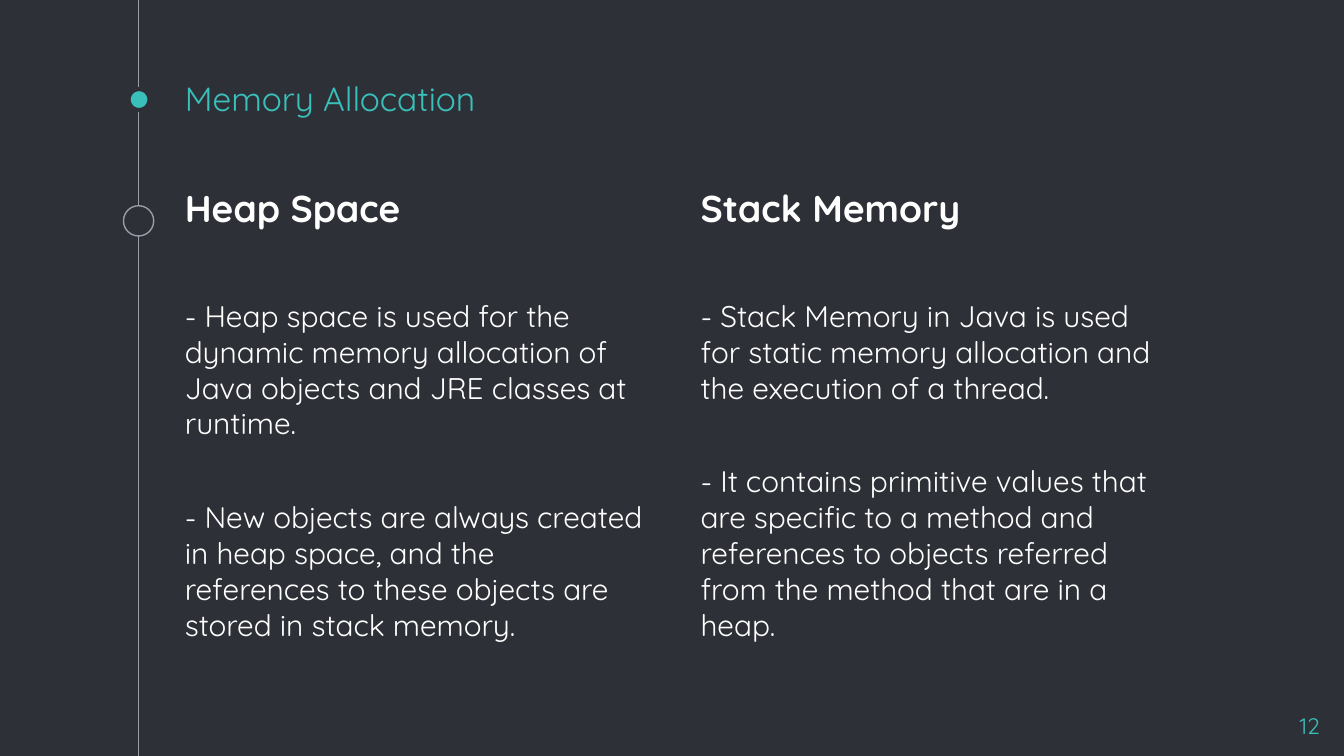
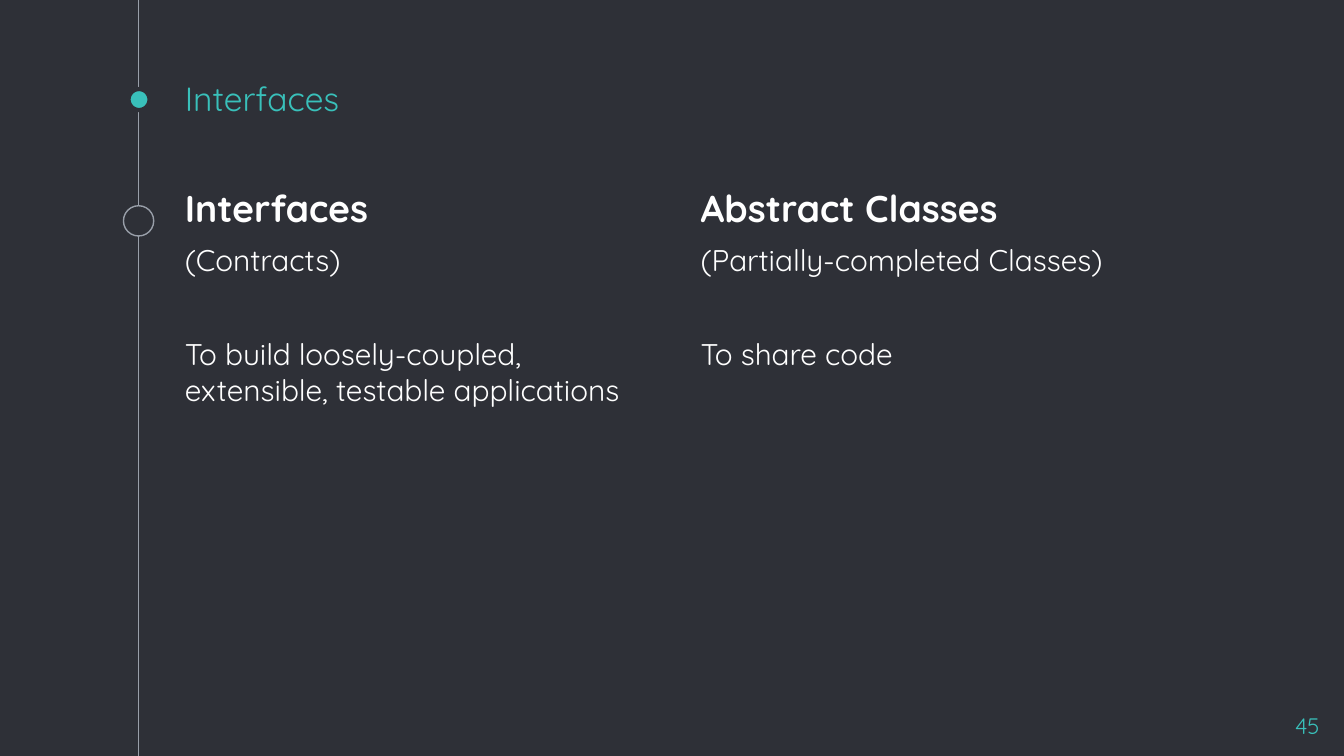
from dataclasses import dataclass

from lxml import etree
from pptx import Presentation
from pptx.dml.color import RGBColor
from pptx.enum.shapes import MSO_CONNECTOR, MSO_SHAPE
from pptx.enum.text import MSO_ANCHOR, MSO_AUTO_SIZE, PP_ALIGN
from pptx.oxml.ns import qn
from pptx.util import Pt

STRAIGHT = MSO_CONNECTOR.STRAIGHT
ELLIPSE = MSO_SHAPE.OVAL
TOP, BOTTOM = MSO_ANCHOR.TOP, MSO_ANCHOR.BOTTOM
LEFT, RIGHT = PP_ALIGN.LEFT, PP_ALIGN.RIGHT
NO_AUTOFIT = MSO_AUTO_SIZE.NONE

PX = 5715
WIDTH, HEIGHT = 1600, 900
INSET = 16
TIMELINE_X = 165
TWO_CONTENT = 3

FONT = "Quicksand"
DARK = RGBColor(0x2E, 0x30, 0x37)
TEAL = RGBColor(0x39, 0xC0, 0xBA)
GREY = RGBColor(0x99, 0x9F, 0xA9)
WHITE = RGBColor(0xFF, 0xFF, 0xFF)


@dataclass(frozen=True)
class Box:
    left: int
    top: int
    width: int
    height: int

    def emu(self) -> tuple[int, ...]:
        return tuple(n * PX for n in (self.left, self.top, self.width, self.height))


@dataclass(frozen=True)
class Dot:
    box: Box
    fill: RGBColor
    outline: RGBColor
    weight: float


@dataclass(frozen=True)
class Line:
    text: str
    before: int = 6
    size: int = 16
    bold: bool = False
    color: RGBColor = WHITE
    align: PP_ALIGN = LEFT


@dataclass(frozen=True)
class Comparison:
    title: str
    number: str
    columns: tuple[tuple[Line, ...], ...]


TITLE_BOX = Box(204, 96, 1200, 61)
NUMBER_BOX = Box(1491, 832, 96, 54)
COLUMN_BOXES = tuple(Box(204 + i * 614, 205, 579, 651) for i in range(2))
DOTS = (
    Dot(Box(153, 106, 25, 25), TEAL, DARK, 2.25),
    Dot(Box(147, 245, 36, 36), DARK, GREY, 0.75),
)
AFTER_HEADING = 36
AFTER_TEXT = 31


def heading(text: str) -> Line:
    return Line(text, size=20, bold=True)


COMPARISONS = (
    Comparison("Memory Allocation", "12", (
        (
            heading("Heap Space"),
            Line("- Heap space is used for the dynamic memory allocation of "
                 "Java objects and JRE classes at runtime.", AFTER_HEADING),
            Line("- New objects are always created in heap space, and the "
                 "references to these objects are stored in stack memory.", AFTER_TEXT),
        ),
        (
            heading("Stack Memory"),
            Line("- Stack Memory in Java is used for static memory allocation "
                 "and the execution of a thread.", AFTER_HEADING),
            Line("- It contains primitive values that are specific to a method "
                 "and references to objects referred from the method that are "
                 "in a heap.", AFTER_TEXT),
        ),
    )),
    Comparison("Interfaces", "45", (
        (
            heading("Interfaces"),
            Line("(Contracts)"),
            Line("To build loosely-coupled, extensible, testable applications",
                 AFTER_TEXT),
        ),
        (
            heading("Abstract Classes"),
            Line("(Partially-completed Classes)"),
            Line("To share code", AFTER_TEXT),
        ),
    )),
)


def write(shape, box: Box, lines: tuple[Line, ...], anchor: MSO_ANCHOR = TOP) -> None:
    shape.left, shape.top, shape.width, shape.height = box.emu()
    frame = shape.text_frame
    frame.word_wrap = True
    frame.auto_size = NO_AUTOFIT
    frame.vertical_anchor = anchor
    frame.margin_left = frame.margin_right = INSET * PX
    frame.margin_top = frame.margin_bottom = INSET * PX
    for i, line in enumerate(lines):
        paragraph = frame.add_paragraph() if i else frame.paragraphs[0]
        paragraph.text = line.text
        paragraph.alignment = line.align
        paragraph.space_before = Pt(line.before)
        paragraph.font.name = FONT
        paragraph.font.size = Pt(line.size)
        paragraph.font.bold = line.bold
        paragraph.font.color.rgb = line.color
        properties = paragraph._p.get_or_add_pPr()
        properties.set("marL", "0")
        properties.set("indent", "0")
        bullet = etree.Element(qn("a:buNone"))
        properties.find(qn("a:defRPr")).addprevious(bullet)


def draw_timeline(slide) -> None:
    x = TIMELINE_X * PX
    rail = slide.shapes.add_connector(STRAIGHT, x, 0, x, HEIGHT * PX)
    rail.line.color.rgb = GREY
    rail.line.width = Pt(0.75)
    etree.SubElement(rail._element.spPr, qn("a:effectLst"))
    for dot in DOTS:
        marker = slide.shapes.add_shape(ELLIPSE, *dot.box.emu())
        marker.shadow.inherit = False
        marker.fill.solid()
        marker.fill.fore_color.rgb = dot.fill
        marker.line.color.rgb = dot.outline
        marker.line.width = Pt(dot.weight)


def add_comparison(prs, comparison: Comparison) -> None:
    slide = prs.slides.add_slide(prs.slide_layouts[TWO_CONTENT])
    draw_timeline(slide)
    title, *bodies = slide.placeholders
    write(title, TITLE_BOX,
          (Line(comparison.title, before=0, size=18, color=TEAL),), BOTTOM)
    for body, box, lines in zip(bodies, COLUMN_BOXES, comparison.columns):
        write(body, box, lines)
        body.line.color.rgb = DARK
        body.line.width = Pt(0.75)
    number = slide.shapes.add_textbox(*NUMBER_BOX.emu())
    write(number, NUMBER_BOX,
          (Line(comparison.number, before=0, size=12, color=TEAL, align=RIGHT),))


def main() -> None:
    prs = Presentation()
    prs.slide_width, prs.slide_height = WIDTH * PX, HEIGHT * PX
    background = prs.slide_master.background.fill
    background.solid()
    background.fore_color.rgb = DARK
    for comparison in COMPARISONS:
        add_comparison(prs, comparison)
    prs.save("out.pptx")


if __name__ == "__main__":
    main()
